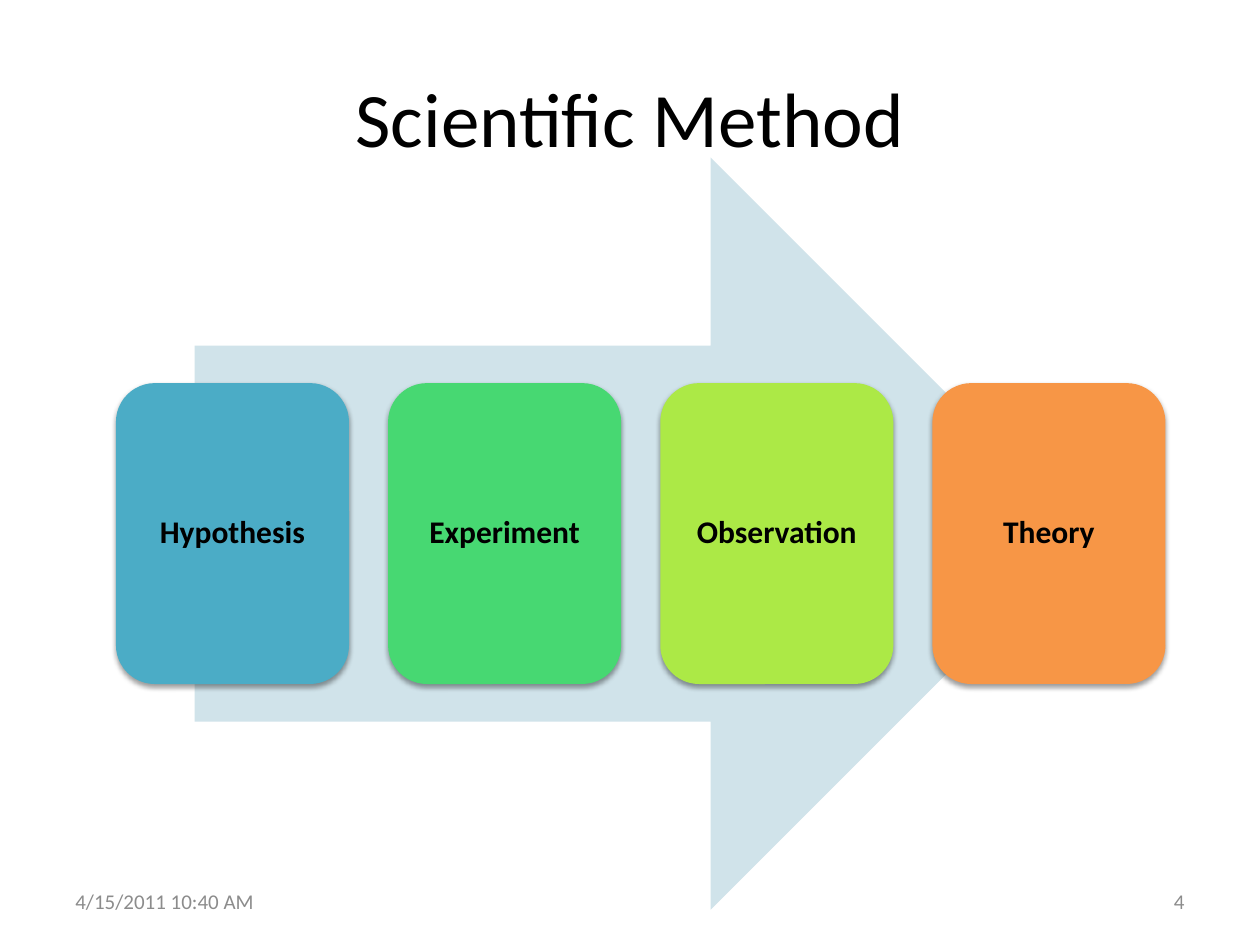
from lxml import etree
from pptx import Presentation
from pptx.dml.color import RGBColor
from pptx.enum.shapes import MSO_SHAPE
from pptx.enum.text import MSO_ANCHOR, PP_ALIGN
from pptx.oxml.ns import qn
from pptx.util import Inches, Pt

ARROW = MSO_SHAPE.RIGHT_ARROW
ROUNDED = MSO_SHAPE.ROUNDED_RECTANGLE
LEFT, CENTER, RIGHT = PP_ALIGN.LEFT, PP_ALIGN.CENTER, PP_ALIGN.RIGHT
MIDDLE = MSO_ANCHOR.MIDDLE
TITLE_ONLY = 5

STEPS = [
    ("Hypothesis", "4BACC6"),
    ("Experiment", "47D872"),
    ("Observation", "ACE946"),
    ("Theory", "F79646"),
]


def color(value):
    return RGBColor.from_string(value)


def write(shape, text, size=18, ink="000000", bold=False, align=CENTER, inset=None):
    frame = shape.text_frame
    frame.word_wrap = True
    frame.vertical_anchor = MIDDLE
    if inset is not None:
        frame.margin_left = frame.margin_right = Inches(inset)
        frame.margin_top = frame.margin_bottom = Inches(inset)
    para = frame.paragraphs[0]
    para.alignment = align
    span = para.add_run()
    span.text = text
    span.font.name = "Calibri"
    span.font.size = Pt(size)
    span.font.bold = bold
    span.font.color.rgb = color(ink)


def add_block(page, kind, box, fill):
    shape = page.shapes.add_shape(kind, *map(Inches, box))
    shape.shadow.inherit = False
    shape.fill.solid()
    shape.fill.fore_color.rgb = color(fill)
    shape.line.fill.background()
    return shape


def add_shadow(shape):
    effects = shape._element.spPr.find(qn("a:effectLst"))
    shadow = etree.SubElement(
        effects, qn("a:outerShdw"), blurRad=str(Pt(3.1)), dist=str(Pt(1.6)),
        dir="5400000", rotWithShape="0",
    )
    tint = etree.SubElement(shadow, qn("a:srgbClr"), val="000000")
    etree.SubElement(tint, qn("a:alpha"), val="38000")


def place_title(page, box, text):
    title = page.shapes.title
    title.left, title.top, title.width, title.height = map(Inches, box)
    write(title, text, size=44)


def place_footer(page, box, date, number):
    left, top, width, height = box
    part = 2.33
    for x, text, align in ((left, date, LEFT), (left + width - part, number, RIGHT)):
        label = page.shapes.add_textbox(*map(Inches, (x, top, part, height)))
        write(label, text, size=12, ink="8C8C8C", align=align)


def place_process(page, box, steps):
    left, top, width, height = box
    arrow_width = width * 0.85
    add_block(page, ARROW, (left + (width - arrow_width) / 2, top, arrow_width, height), "D0E3EA")
    gap = 0.31
    card_width = (width - gap * (len(steps) - 1)) / len(steps)
    card_height = height * 0.4
    card_top = top + (height - card_height) / 2
    for index, (text, fill) in enumerate(steps):
        x = left + index * (card_width + gap)
        card = add_block(page, ROUNDED, (x, card_top, card_width, card_height), fill)
        add_shadow(card)
        write(card, text, bold=True, inset=0.07)
        card.text_frame.paragraphs[0].line_spacing = 0.9


def main():
    deck = Presentation()
    deck.slide_width, deck.slide_height = Inches(10), Inches(7.5)
    page = deck.slides.add_slide(deck.slide_layouts[TITLE_ONLY])
    place_title(page, (0.5, 0.3, 9, 1.25), "Scientific Method")
    place_footer(page, (0.5, 6.95, 9, 0.4), "4/15/2011 10:40 AM", "4")
    place_process(page, (0.92, 1.25, 8.33, 5.97), STEPS)
    deck.save("out.pptx")


if __name__ == "__main__":
    main()
